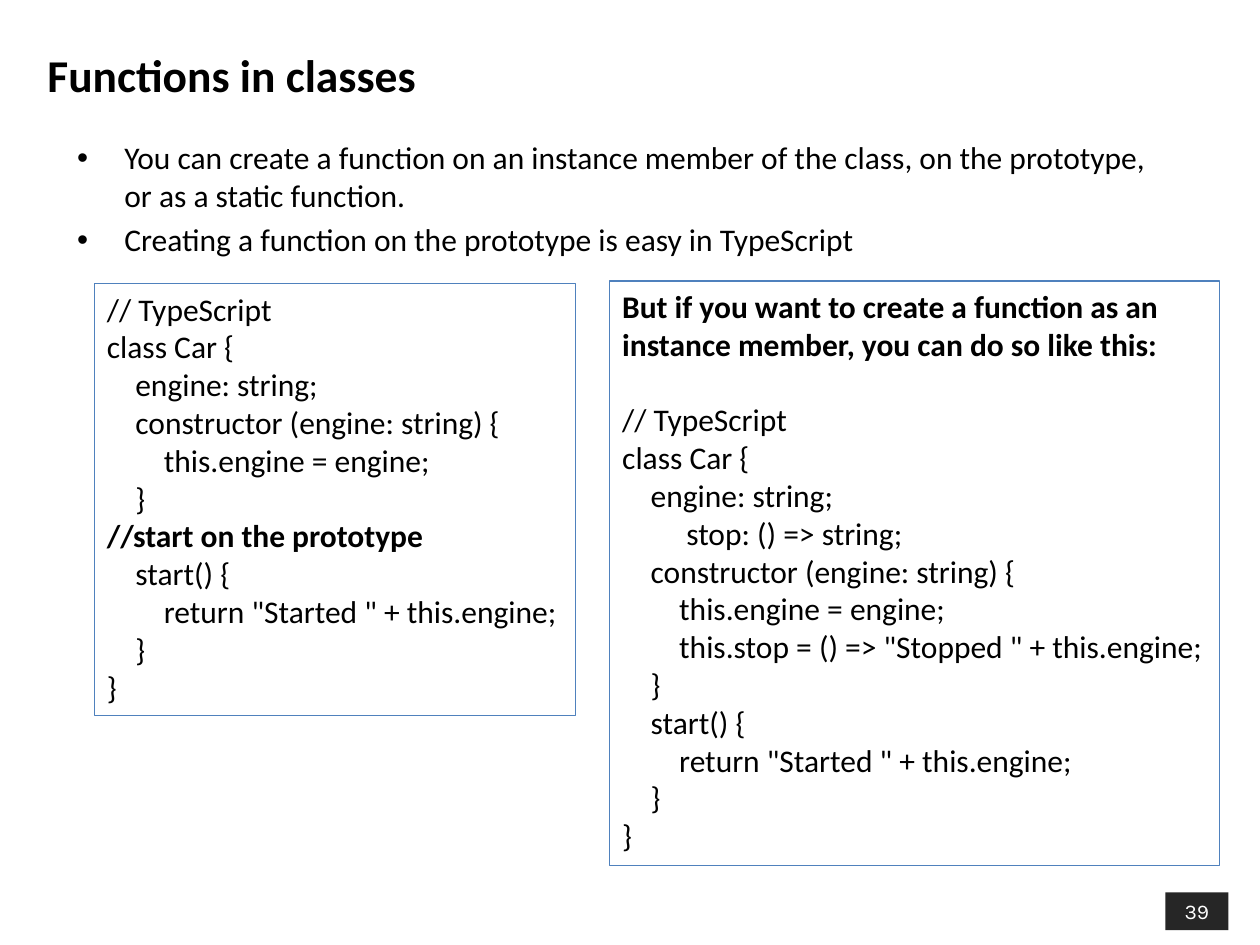
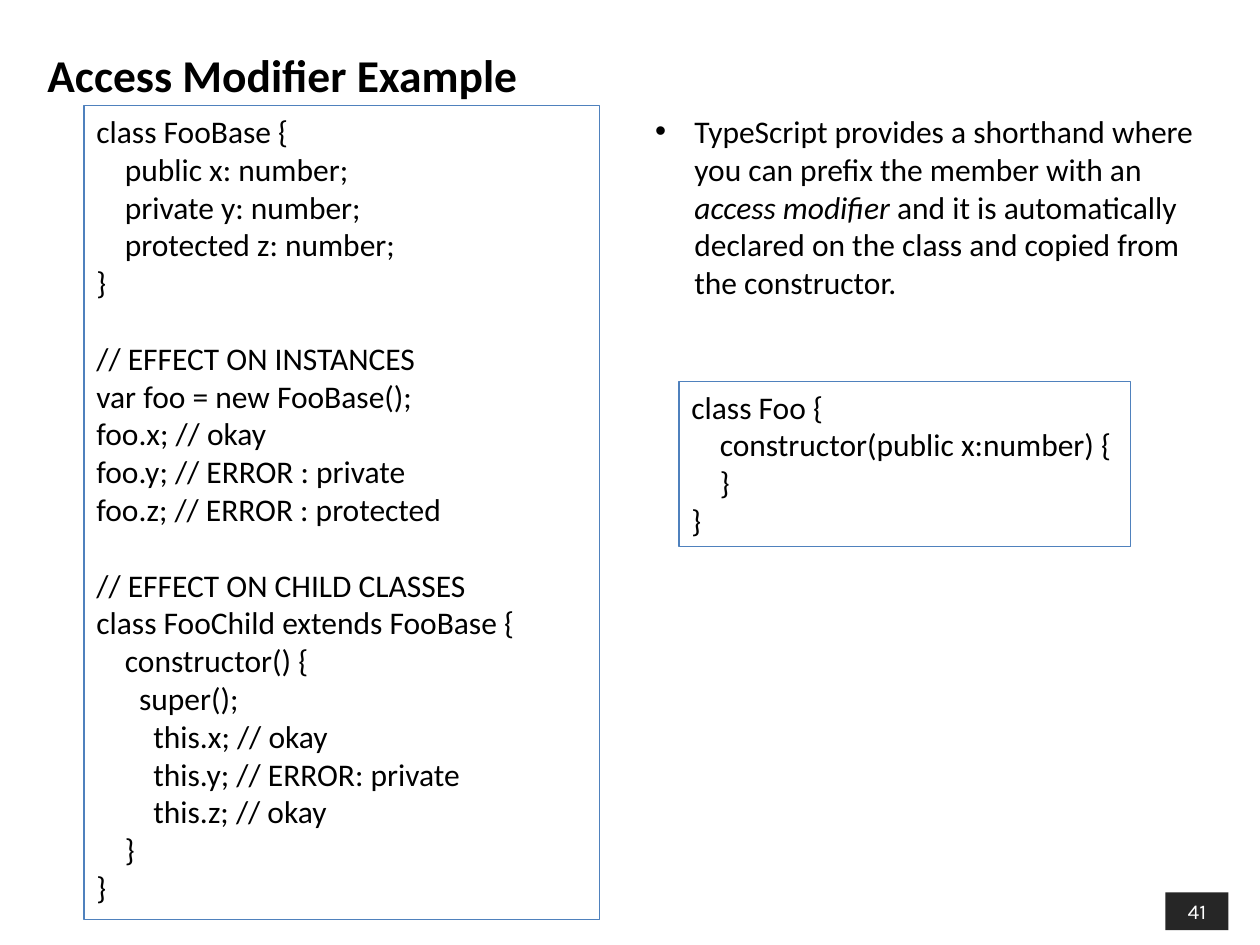
import pptx
import pptx.dml.color
import pptx.enum.shapes
import pptx.enum.text
import pptx.util
from lxml import etree
from pptx.enum.text import MSO_ANCHOR, PP_ALIGN
from pptx.util import Pt

BLACK = pptx.dml.color.RGBColor(0x00, 0x00, 0x00)
WHITE = pptx.dml.color.RGBColor(0xFF, 0xFF, 0xFF)
CHARCOAL = pptx.dml.color.RGBColor(0x26, 0x26, 0x26)
BORDER_BLUE = pptx.dml.color.RGBColor(0x4F, 0x81, 0xBD)

TEXT_FONT = "Calibri"
NUMBER_FONT = "Karla"
TEXT_SIZE = 18
LINE_HEIGHT = 21.6
SPACE_WIDTH = 4.07

PROTOTYPE_CODE = """\
// TypeScript
class Car {
    engine: string;
    constructor (engine: string) {
        this.engine = engine;
    }
//start on the prototype
    start() {
        return "Started " + this.engine;
    }
}"""

INSTANCE_CODE = """\
But if you want to create a function as an instance member, you can do so like this:

// TypeScript
class Car {
    engine: string;
         stop: () => string;
    constructor (engine: string) {
        this.engine = engine;
        this.stop = () => "Stopped " + this.engine;
    }
    start() {
        return "Started " + this.engine;
    }
}"""

MODIFIER_CODE = """\
class FooBase {
    public x: number;
    private y: number;
    protected z: number;
}

// EFFECT ON INSTANCES
var foo = new FooBase();
foo.x; // okay
foo.y; // ERROR : private
foo.z; // ERROR : protected

// EFFECT ON CHILD CLASSES
class FooChild extends FooBase {
    constructor() {
      super();
        this.x; // okay
        this.y; // ERROR: private
        this.z; // okay
    }
}"""

SHORTHAND_CODE = """\
class Foo {
    constructor(public x:number) {
    }
}"""


def style_font(paragraph, size=TEXT_SIZE, color=BLACK, name=TEXT_FONT, bold=False):
    """Set the font of a whole paragraph."""
    font = paragraph.font
    font.name = name
    font.size = Pt(size)
    font.bold = bold
    font.color.rgb = color


def next_paragraph(frame, index):
    """Return the first paragraph of a frame, or append another one."""
    return frame.paragraphs[0] if index == 0 else frame.add_paragraph()


def add_text_frame(slide, box):
    """Add a wrapping text box and return its text frame."""
    frame = slide.shapes.add_textbox(*map(Pt, box)).text_frame
    frame.word_wrap = True
    return frame


def add_rectangle(slide, box):
    """Add a rectangle without shadow."""
    shape = slide.shapes.add_shape(
        pptx.enum.shapes.MSO_SHAPE.RECTANGLE, *map(Pt, box))
    shape.shadow.inherit = False
    shape.text_frame.word_wrap = True
    return shape


def add_page(presentation, title, number):
    """Add a slide with its title and page number."""
    slide = presentation.slides.add_slide(presentation.slide_layouts[6])
    badge = add_rectangle(slide, (666, 510, 36, 21.6))
    badge.fill.solid()
    badge.fill.fore_color.rgb = CHARCOAL
    badge.line.fill.background()
    badge.text_frame.vertical_anchor = MSO_ANCHOR.MIDDLE
    paragraph = badge.text_frame.paragraphs[0]
    paragraph.text = str(number)
    paragraph.alignment = PP_ALIGN.CENTER
    style_font(paragraph, 12, WHITE, NUMBER_FONT)

    frame = add_text_frame(slide, (20, 15, 572, 55.5))
    frame.vertical_anchor = MSO_ANCHOR.MIDDLE
    frame.paragraphs[0].text = title
    style_font(frame.paragraphs[0], 26, bold=True)
    return slide


def set_indent(paragraph, left, first=0):
    """Set the left margin and first-line indent of a paragraph."""
    properties = paragraph._p.get_or_add_pPr()
    properties.set("marL", str(Pt(left)))
    properties.set("indent", str(Pt(first)))
    return properties


def add_bullets(slide, box, items, indent):
    """Add bulleted paragraphs, each a list of (text, italic) runs."""
    frame = add_text_frame(slide, box)
    for index, runs in enumerate(items):
        paragraph = next_paragraph(frame, index)
        paragraph.space_after = Pt(3.6)
        style_font(paragraph)
        properties = set_indent(paragraph, indent, -indent)
        bullet_font = etree.Element(pptx.oxml.ns.qn("a:buFont"), typeface="Arial")
        bullet = etree.Element(pptx.oxml.ns.qn("a:buChar"), char="•")
        properties.find(pptx.oxml.ns.qn("a:defRPr")).addprevious(bullet_font)
        bullet_font.addnext(bullet)
        for text, italic in runs:
            run = paragraph.add_run()
            run.text = text
            run.font.italic = italic


def add_code_box(slide, box, code, bold_line=None):
    """Add an outlined box whose code keeps its indents and line gaps."""
    shape = add_rectangle(slide, box)
    shape.fill.background()
    shape.line.color.rgb = BORDER_BLUE
    shape.line.width = Pt(0.75)
    frame = shape.text_frame
    frame.vertical_anchor = MSO_ANCHOR.TOP
    index = gap = 0
    for line in code.splitlines():
        text = line.lstrip()
        if not text:
            gap = LINE_HEIGHT
            continue
        paragraph = next_paragraph(frame, index)
        paragraph.text = text
        paragraph.alignment = PP_ALIGN.LEFT
        paragraph.space_before = Pt(gap)
        style_font(paragraph, bold=index == bold_line)
        set_indent(paragraph, (len(line) - len(text)) * SPACE_WIDTH)
        index += 1
        gap = 0


def build_functions_slide(presentation):
    """Build the slide on functions in classes."""
    slide = add_page(presentation, "Functions in classes", 39)
    add_bullets(slide, (37, 75.6, 629, 86.4), [
        [("You can create a function on an instance member of the class, "
          "on the prototype, or as a static function.", False)],
        [("Creating a function on the prototype is easy in TypeScript", False)],
    ], 27)
    add_code_box(slide, (54, 162, 275, 247), PROTOTYPE_CODE, bold_line=6)
    add_code_box(slide, (348.5, 160.5, 348.5, 334), INSTANCE_CODE, bold_line=0)


def build_modifier_slide(presentation):
    """Build the slide on access modifiers."""
    slide = add_page(presentation, "Access Modifier Example", 41)
    add_code_box(slide, (48, 60.5, 294.5, 465), MODIFIER_CODE)
    add_bullets(slide, (367.2, 60.5, 322, 116.6), [[
        ("TypeScript provides a shorthand where you can prefix the member with an ", False),
        ("access modifier", True),
        (" and it is automatically declared on the class and copied "
         "from the constructor.", False),
    ]], 22.5)
    add_code_box(slide, (388, 218, 258, 94.5), SHORTHAND_CODE)


def main():
    """Build and save the presentation."""
    presentation = pptx.Presentation()
    presentation.slide_width = Pt(720)
    presentation.slide_height = Pt(540)
    build_functions_slide(presentation)
    build_modifier_slide(presentation)
    presentation.save("out.pptx")


if __name__ == "__main__":
    main()
